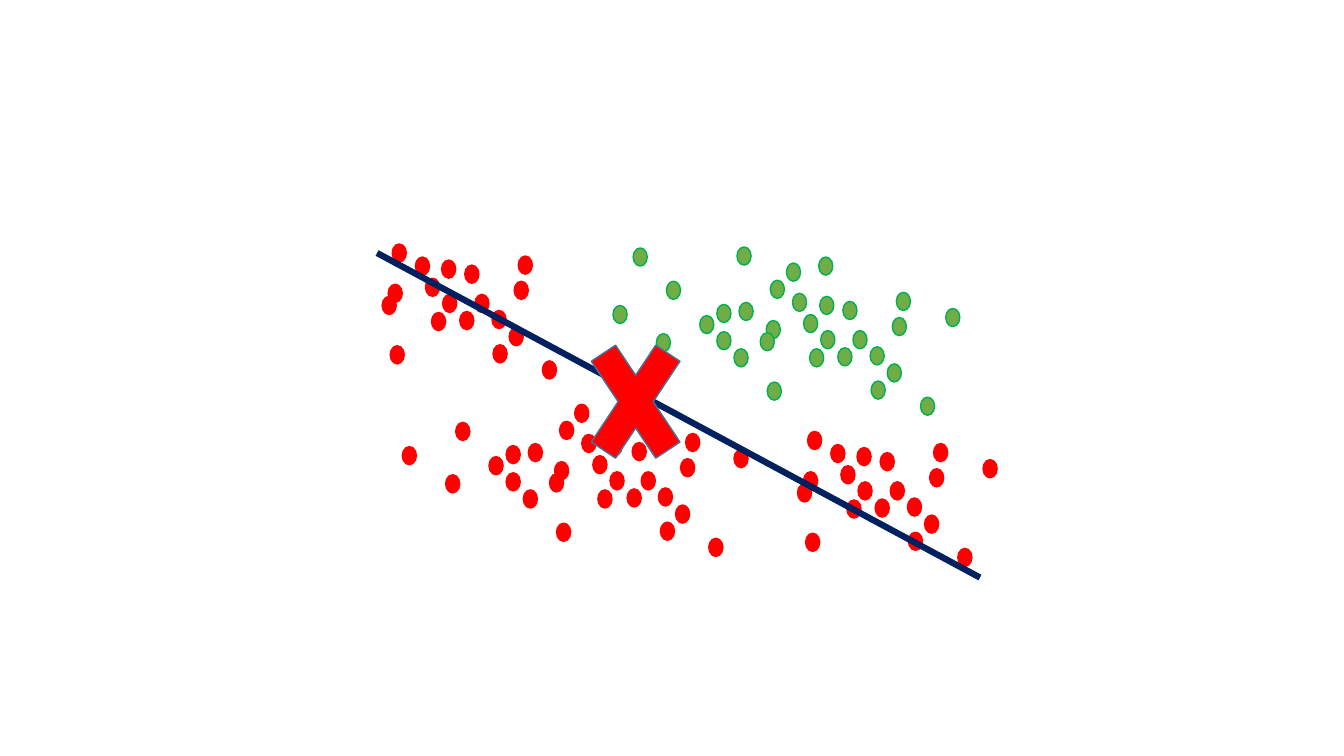
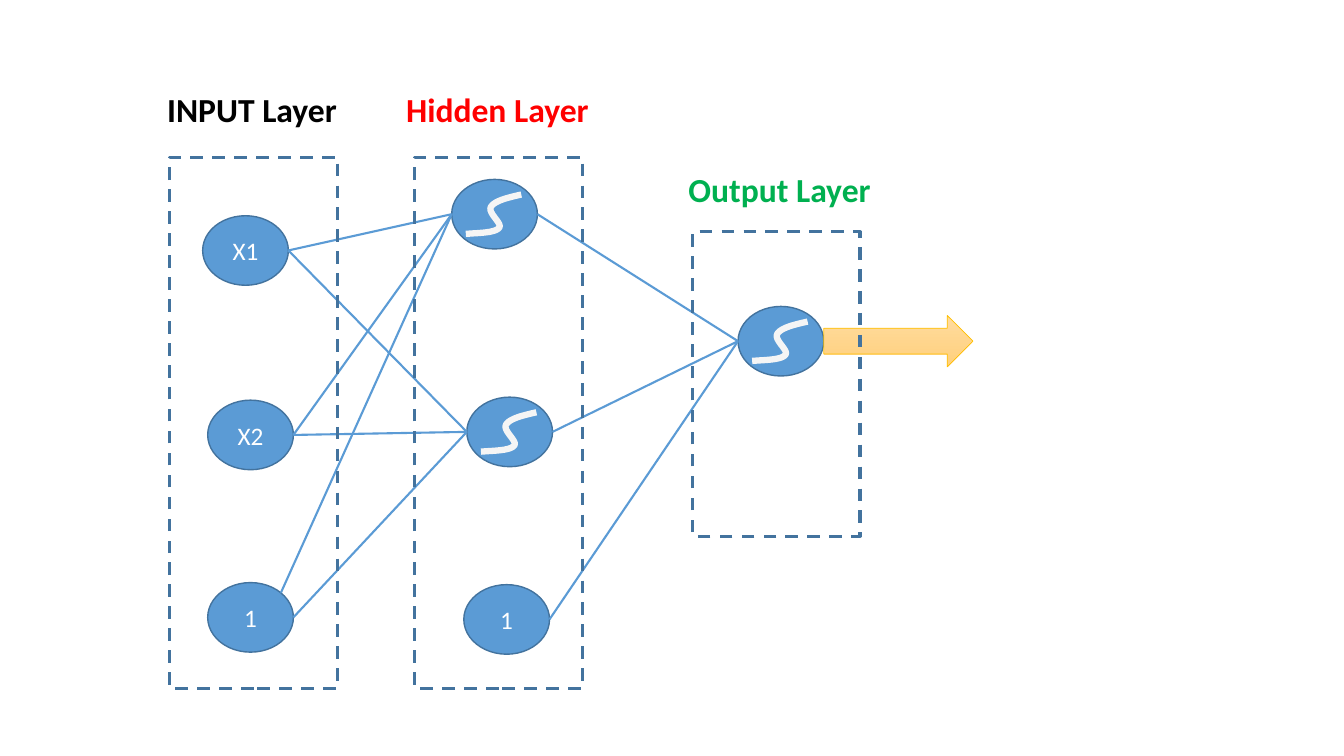
from dataclasses import dataclass

from lxml.etree import SubElement
from pptx import Presentation
from pptx.dml.color import RGBColor
from pptx.enum.dml import MSO_LINE
from pptx.enum.shapes import MSO_CONNECTOR, MSO_SHAPE
from pptx.enum.text import MSO_ANCHOR, MSO_AUTO_SIZE, PP_ALIGN
from pptx.oxml.ns import qn
from pptx.util import Inches, Pt


@dataclass(frozen=True)
class Theme:
    font: str = "Calibri"
    label_size: int = 24
    neuron_size: int = 18
    black: str = "000000"
    white: str = "FFFFFF"
    red: str = "FF0000"
    green: str = "00B050"
    leaf: str = "70AD47"
    navy: str = "002060"
    blue: str = "5B9BD5"
    outline: str = "43739E"
    curve: str = "F5F5F5"
    amber: str = "FFC000"
    amber_light: str = "FFDB9E"
    amber_dark: str = "FFD07C"


@dataclass(frozen=True)
class Box:
    left: float
    top: float
    width: float
    height: float

    def inner(self, x, y, width, height):
        """A box placed relative to this one's top left corner."""
        return Box(self.left + x, self.top + y, width, height)

    def lengths(self):
        return [Inches(value) for value in
                (self.left, self.top, self.width, self.height)]


THEME = Theme()

# Scatter: every cluster is one swarm of dots, shifted and partly thinned out
DOT = (0.14, 0.18)
SWARM = [(0, 0), (0.33, 0.33), (0.23, 0.85), (0.66, 0.67), (0.83, 0.83),
         (1, 1), (-0.2, 0.57), (1.33, 1.33), (1.05, 0.54), (1.58, 0.45)]
STRAYS = [(0.31, 1.34), (0.56, 0.46)]
# Cluster: shift, indexes of the swarm left out, additional dots
GREEN_CLUSTERS = [((4.06, 0.19), (), [(0.32, -0.06)]),
                  ((3.57, 0.03), (), []),
                  ((2.54, 0.04), (), [])]
RED_CLUSTERS = [((1.96, 1.59), (), []),
                ((1.48, 1.43), (0,), []),
                ((0.45, 1.44), (0,), []),
                ((4.43, 1.69), (0,), []),
                ((3.94, 1.53), (0, 6), STRAYS),
                ((0.31, -0.17), (0, 9), []),
                ((-0.18, -0.33), (0, 6), STRAYS)]

# Network: neurons relative to their layer; None stands for a sigmoid
NEURON = (0.85, 0.69)
INPUT_NEURONS = [(0.33, 0.58, "X1"), (0.38, 2.41, "X2"), (0.38, 4.22, "1")]
HIDDEN_NEURONS = [(0.37, 0.22, None), (0.52, 2.38, None), (0.49, 4.24, "1")]
OUTPUT_NEURONS = [(0.45, 0.74, None)]
SIGMOID = [(0.55, 0), (0.42, 0.03), (0.29, 0.06), (0.25, 0.12), (0.21, 0.18),
           (0.37, 0.29), (0.33, 0.33), (0.29, 0.38), (0.14, 0.38), (0, 0.39)]
# Connection sites of an ellipse: index and place as a share of its box
LEFT, RIGHT, TOP_RIGHT = (2, 0, 0.5), (6, 1, 0.5), (7, 0.854, 0.146)


# Shared helpers
def color(value):
    return RGBColor.from_string(value)


def style_line(shape, line_color, width):
    shape.line.color.rgb = color(line_color)
    shape.line.width = Pt(width)


def add_figure(slide, preset, box, fill, line_color, width=1):
    shape = slide.shapes.add_shape(preset, *box.lengths())
    shape.shadow.inherit = False
    if fill:
        shape.fill.solid()
        shape.fill.fore_color.rgb = color(fill)
    else:
        shape.fill.background()
    style_line(shape, line_color, width)
    return shape


def add_line(slide, start, end, line_color, width):
    points = [Inches(value) for value in (*start, *end)]
    connector = slide.shapes.add_connector(MSO_CONNECTOR.STRAIGHT, *points)
    style_line(connector, line_color, width)
    SubElement(connector._element.spPr, qn("a:effectLst"))
    return connector


def add_run(paragraph, text, size, text_color, bold=False):
    run = paragraph.add_run()
    run.text = text
    run.font.name = THEME.font
    run.font.size = Pt(size)
    run.font.bold = bold
    run.font.color.rgb = color(text_color)


# Scatter slide
def add_cluster(slide, box, cluster, fill, line_color):
    (shift_x, shift_y), left_out, additional = cluster
    dots = [dot for index, dot in enumerate(SWARM) if index not in left_out]
    for x, y in dots + additional:
        dot_box = box.inner(shift_x + x, shift_y + y, *DOT)
        add_figure(slide, MSO_SHAPE.OVAL, dot_box, fill, line_color)


def build_scatter(slide, box):
    for cluster in GREEN_CLUSTERS:
        add_cluster(slide, box, cluster, THEME.leaf, THEME.green)
    for cluster in RED_CLUSTERS:
        add_cluster(slide, box, cluster, THEME.red, THEME.red)
    # Straight boundary, crossed out
    add_line(slide, (box.left, box.top + 0.09),
             (box.left + box.width, box.top + box.height), THEME.navy, 4.5)
    add_figure(slide, MSO_SHAPE.MATH_MULTIPLY, box.inner(1.95, 0.64, 1.23, 1.85),
               THEME.red, THEME.outline)


# Network slide
def bezier_points(controls, steps=12):
    """Points along a chain of cubic curves."""
    points = [controls[0]]
    for first in range(0, len(controls) - 1, 3):
        p0, p1, p2, p3 = controls[first:first + 4]
        for step in range(1, steps + 1):
            t = step / steps
            u = 1 - t
            points.append(tuple(
                u**3 * a + 3 * u * u * t * b + 3 * u * t * t * c + t**3 * d
                for a, b, c, d in zip(p0, p1, p2, p3)))
    return points


def add_sigmoid(slide, box):
    points = [(Inches(box.left + x), Inches(box.top + y))
              for x, y in bezier_points(SIGMOID)]
    builder = slide.shapes.build_freeform(*points[0])
    builder.add_line_segments(points[1:], close=False)
    curve = builder.convert_to_shape()
    curve.shadow.inherit = False
    curve.fill.background()
    style_line(curve, THEME.curve, 4.5)


def add_neurons(slide, layer, neurons):
    """Returns each neuron's shape with its box."""
    placed = []
    for x, y, text in neurons:
        box = layer.inner(x, y, *NEURON)
        shape = add_figure(slide, MSO_SHAPE.OVAL, box, THEME.blue, THEME.outline)
        if text:
            shape.text_frame.vertical_anchor = MSO_ANCHOR.MIDDLE
            paragraph = shape.text_frame.paragraphs[0]
            paragraph.alignment = PP_ALIGN.CENTER
            add_run(paragraph, text, THEME.neuron_size, THEME.white)
        else:
            add_sigmoid(slide, box.inner(0.14, 0.15, 0.55, 0.39))
        placed.append((shape, box))
    return placed


def link(slide, source, target, source_site=RIGHT):
    ends = ((source, source_site, "a:stCxn"), (target, LEFT, "a:endCxn"))
    points = [(box.left + x * box.width, box.top + y * box.height)
              for (_, box), (_, x, y), _ in ends]
    connector = add_line(slide, *points, THEME.blue, 1.5)
    joints = connector._element.nvCxnSpPr.cNvCxnSpPr
    for (shape, _), (site, _, _), tag in ends:
        SubElement(joints, qn(tag), id=str(shape.shape_id), idx=str(site))


def add_output_arrow(slide, box):
    arrow = add_figure(slide, MSO_SHAPE.RIGHT_ARROW, box,
                       THEME.amber_light, THEME.amber, 0.5)
    arrow.fill.gradient()
    arrow.fill.gradient_angle = 270
    stops = arrow.fill.gradient_stops
    for stop, value in zip(stops, (THEME.amber_light, THEME.amber_dark)):
        stop.color.rgb = color(value)


def add_layer_frame(slide, layer, label_box, label, label_color):
    frame = add_figure(slide, MSO_SHAPE.RECTANGLE, layer, None,
                       THEME.outline, 2.25)
    frame.line.dash_style = MSO_LINE.DASH
    text_frame = slide.shapes.add_textbox(*label_box.lengths()).text_frame
    text_frame.word_wrap = False
    text_frame.auto_size = MSO_AUTO_SIZE.SHAPE_TO_FIT_TEXT
    add_run(text_frame.paragraphs[0], label, THEME.label_size, label_color, True)


def build_network(slide, box):
    input_layer = box.inner(0, 0, 1.67, box.height)
    hidden_layer = box.inner(2.43, 0, 1.67, box.height)
    output_layer = box.inner(5.19, 0.74, 1.66, 3.02)

    # Neurons
    inputs = add_neurons(slide, input_layer, INPUT_NEURONS)
    hidden = add_neurons(slide, hidden_layer, HIDDEN_NEURONS)
    output, = add_neurons(slide, output_layer, OUTPUT_NEURONS)

    # Links; the bias reaches the top hidden neuron from its upper right
    for target_index, target in enumerate(hidden[:2]):
        for source in inputs:
            upper = source is inputs[-1] and target_index == 0
            link(slide, source, target, TOP_RIGHT if upper else RIGHT)
    for source in hidden:
        link(slide, source, output)

    # Result
    add_output_arrow(slide, output[1].inner(NEURON[0], 0.09, 1.48, 0.51))

    # Dashed frames with labels
    add_layer_frame(slide, input_layer, input_layer.inner(-0.12, -0.73, 1.9, 0.5),
                    "INPUT Layer", THEME.black)
    add_layer_frame(slide, hidden_layer, hidden_layer.inner(-0.18, -0.73, 2.03, 0.5),
                    "Hidden Layer", THEME.red)
    add_layer_frame(slide, output_layer, output_layer.inner(-0.14, -0.67, 2.03, 0.5),
                    "Output Layer", THEME.green)


def main():
    presentation = Presentation()
    presentation.slide_width = Inches(13.33)
    presentation.slide_height = Inches(7.5)
    blank = presentation.slide_layouts[6]
    build_scatter(presentation.slides.add_slide(blank),
                  Box(3.74, 2.42, 5.98, 3.31))
    build_network(presentation.slides.add_slide(blank),
                  Box(1.68, 1.56, 6.85, 5.27))
    presentation.save("out.pptx")


if __name__ == "__main__":
    main()
